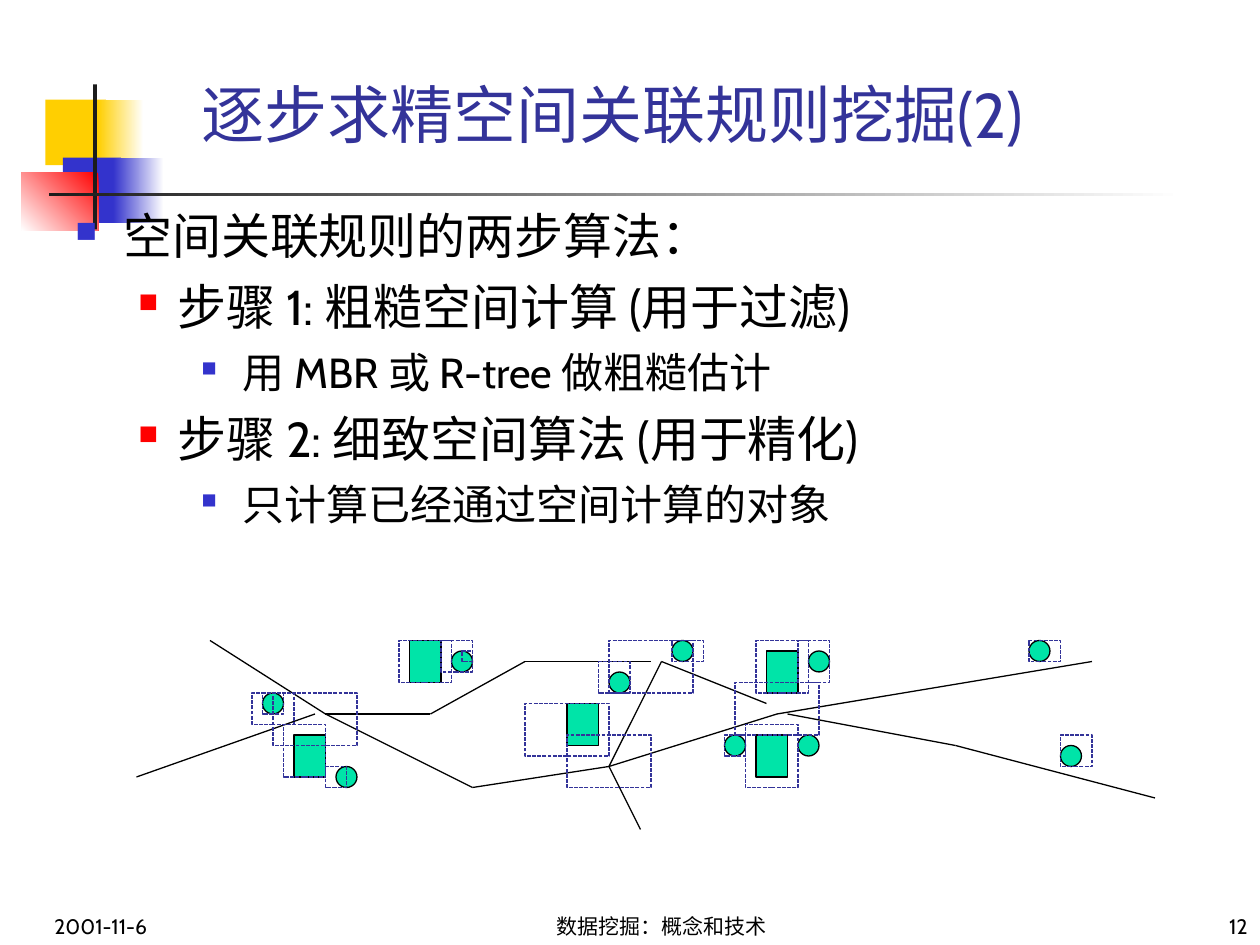
from lxml import etree
from pptx import Presentation
from pptx.dml.color import RGBColor
from pptx.enum.dml import MSO_LINE
from pptx.enum.shapes import MSO_CONNECTOR, MSO_SHAPE
from pptx.enum.text import MSO_ANCHOR, PP_ALIGN
from pptx.oxml.ns import qn
from pptx.util import Inches, Pt

RECT, OVAL = MSO_SHAPE.RECTANGLE, MSO_SHAPE.OVAL
STRAIGHT, DASH = MSO_CONNECTOR.STRAIGHT, MSO_LINE.SQUARE_DOT
TOP, BOTTOM = MSO_ANCHOR.TOP, MSO_ANCHOR.BOTTOM
LEFT, CENTER, RIGHT = PP_ALIGN.LEFT, PP_ALIGN.CENTER, PP_ALIGN.RIGHT

COLORS = {
    "white": "FFFFFF", "black": "000000", "yellow": "FFCF01", "blue": "3333CC",
    "red": "FF0000", "ink": "1C1C1C", "navy": "333399", "green": "00E4A8",
}
FONT = "Cabin"
COLUMNS, ROWS = 120, 90
CELL = Inches(10) / COLUMNS
THIN = Pt(0.75)

ORNAMENTS = [
    ((2.32, 1.48, 5.76, 6.24), ["yellow"], 0),
    ((7.36, 1.48, 4.32, 6.24), ["white", "yellow"], 180),
    ((4, 7, 5.52, 6.24), ["blue"], 0),
    ((8.8, 7, 4.8, 6.24), ["white", "blue"], 180),
    ((0.04, 8.44, 7.32, 5.52), ["red", "white"], 225),
    ((6.88, 0.04, 0.36, 13.8), ["ink"], 0),
    ((2.68, 10.36, 108, 0.36), ["white", "ink"], 180),
]
LEVELS = [
    {"size": 28, "before": 7, "margin": 0.38, "hang": 0.38, "color": "blue", "scale": 60},
    {"size": 28, "before": 7, "margin": 0.81, "hang": 0.31, "color": "red", "scale": 55},
    {"size": 24, "before": 6, "margin": 1.33, "hang": 0.33, "color": "blue", "scale": 50},
]
OUTLINE = [
    (0, "空间关联规则的两步算法："),
    (1, "步骤 1: 粗糙空间计算 (用于过滤)"),
    (2, "用 MBR 或 R-tree 做粗糙估计"),
    (1, "步骤 2: 细致空间算法 (用于精化)"),
    (2, "只计算已经通过空间计算的对象"),
]
ROADS = [
    [(0, 13), (17, 7)],
    [(18, 7), (28, 7), (37, 2), (49, 2)],
    [(50, 2), (60, 6)],
    [(62, 7), (78, 10), (97, 15)],
    [(50, 2), (45, 12), (32, 14)],
    [(91, 2), (61, 7), (45, 12), (48, 18)],
    [(7, 0), (18, 7), (32, 14)],
]
BUILDINGS = [(60, 1), (41, 6), (15, 9), (26, 0), (59, 9)]
SITES = [(12, 5), (45, 3), (51, 0), (64, 1), (19, 12),
         (30, 1), (85, 0), (56, 9), (88, 10), (63, 9)]
BOUNDING_RECTANGLES = [
    (56, 9, 2, 2), (37, 6, 8, 5), (14, 8, 4, 5), (25, 0, 5, 4), (57, 4, 8, 5),
    (45, 0, 8, 5), (13, 5, 8, 5), (11, 5, 4, 3), (51, 0, 3, 2), (41, 9, 8, 5),
    (88, 9, 3, 3), (85, 0, 3, 2), (31, 1, 1, 1), (18, 12, 2, 2), (12, 5, 2, 2),
    (29, 0, 3, 3), (44, 2, 3, 3), (58, 8, 5, 6), (59, 0, 5, 5), (63, 0, 3, 4),
]


def rgb(name):
    """Return the named colour."""
    return RGBColor.from_string(COLORS[name])


def cells(*counts):
    """Turn counts of grid cells into lengths."""
    return [round(count * CELL) for count in counts]


def within(box, part):
    """Shift a part by the corner of its box."""
    return (box[0] + part[0], box[1] + part[1], *part[2:])


def add_block(slide, kind, place, fills=(), angle=0, outline=None):
    """Draw a preset shape with no, one or two fill colours."""
    block = slide.shapes.add_shape(kind, *cells(*place))
    block.shadow.inherit = False
    if len(fills) == 2:
        block.fill.gradient()
        block.fill.gradient_angle = angle
        for stop, fill in zip(block.fill.gradient_stops, fills):
            stop.color.rgb = rgb(fill)
    elif fills:
        block.fill.solid()
        block.fill.fore_color.rgb = rgb(fills[0])
    else:
        block.fill.background()
    if outline:
        block.line.color.rgb = rgb(outline)
        block.line.width = THIN
    else:
        block.line.fill.background()
    return block


def style_text(paragraph, size, color):
    """Set the font of a paragraph."""
    paragraph.font.name = FONT
    paragraph.font.size = Pt(size)
    paragraph.font.color.rgb = rgb(color)


def add_frame(slide, box, anchor):
    """Add a wrapping text box and return its text frame."""
    frame = slide.shapes.add_textbox(*cells(*box)).text_frame
    frame.word_wrap = True
    frame.vertical_anchor = anchor
    return frame


def add_label(slide, box, text, size, color, align=LEFT):
    """Place one line of text at the bottom of its box."""
    paragraph = add_frame(slide, box, BOTTOM).paragraphs[0]
    paragraph.text = text
    paragraph.alignment = align
    style_text(paragraph, size, color)


def add_bullet(paragraph, level):
    """Give a paragraph the square bullet and indent of its level."""
    props = paragraph._p.get_or_add_pPr()
    props.set("marL", str(Inches(level["margin"])))
    props.set("indent", str(-Inches(level["hang"])))
    tint = etree.SubElement(props, qn("a:buClr"))
    etree.SubElement(tint, qn("a:srgbClr"), val=COLORS[level["color"]])
    etree.SubElement(props, qn("a:buSzPct"), val=str(level["scale"] * 1000))
    etree.SubElement(props, qn("a:buChar"), char="■")


def add_ornament(slide, box):
    """Draw the coloured squares and the crossing rules."""
    for part, fills, angle in ORNAMENTS:
        add_block(slide, RECT, within(box, part), fills, angle)


def add_outline(slide, box):
    """Write the bulleted outline."""
    frame = add_frame(slide, box, TOP)
    for index, (depth, text) in enumerate(OUTLINE):
        paragraph = frame.add_paragraph() if index else frame.paragraphs[0]
        level = LEVELS[depth]
        paragraph.text = text
        paragraph.level = depth
        add_bullet(paragraph, level)
        if index:
            paragraph.space_before = Pt(level["before"])
        style_text(paragraph, level["size"], "black")


def add_map(slide, box):
    """Draw roads, buildings, sites and their bounding rectangles."""
    for road in ROADS:
        for start, end in zip(road, road[1:]):
            ends = cells(*within(box, start), *within(box, end))
            segment = slide.shapes.add_connector(STRAIGHT, *ends)
            segment.line.color.rgb = rgb("black")
            segment.line.width = THIN
            etree.SubElement(segment._element.spPr, qn("a:effectLst"))
    for kind, corners, size in ((RECT, BUILDINGS, (3, 4)), (OVAL, SITES, (2, 2))):
        for corner in corners:
            add_block(slide, kind, within(box, corner + size), ["green"], outline="black")
    for rectangle in BOUNDING_RECTANGLES:
        bounds = add_block(slide, RECT, within(box, rectangle), outline="navy")
        bounds.line.dash_style = DASH


def add_footer(slide, box):
    """Write the date, the course title and the page number."""
    for start, width, text, align in ((0, 25, "2001-11-6", LEFT),
                                      (40, 38, "数据挖掘：概念和技术", CENTER),
                                      (91, 25, "12", RIGHT)):
        add_label(slide, within(box, (start, 0, width, box[3])), text, 12, "black", align)


def main():
    """Build the slide and save it."""
    deck = Presentation()
    deck.slide_width, deck.slide_height = cells(COLUMNS, ROWS)
    slide = deck.slides.add_slide(deck.slide_layouts[6])
    add_ornament(slide, (2, 8))
    add_label(slide, (18, 4, 95, 11), "逐步求精空间关联规则挖掘(2)", 36, "navy")
    add_outline(slide, (6, 19, 109, 36))
    add_map(slide, (13, 61))
    add_footer(slide, (4, 85, 116, 5))
    deck.save("out.pptx")


if __name__ == "__main__":
    main()
